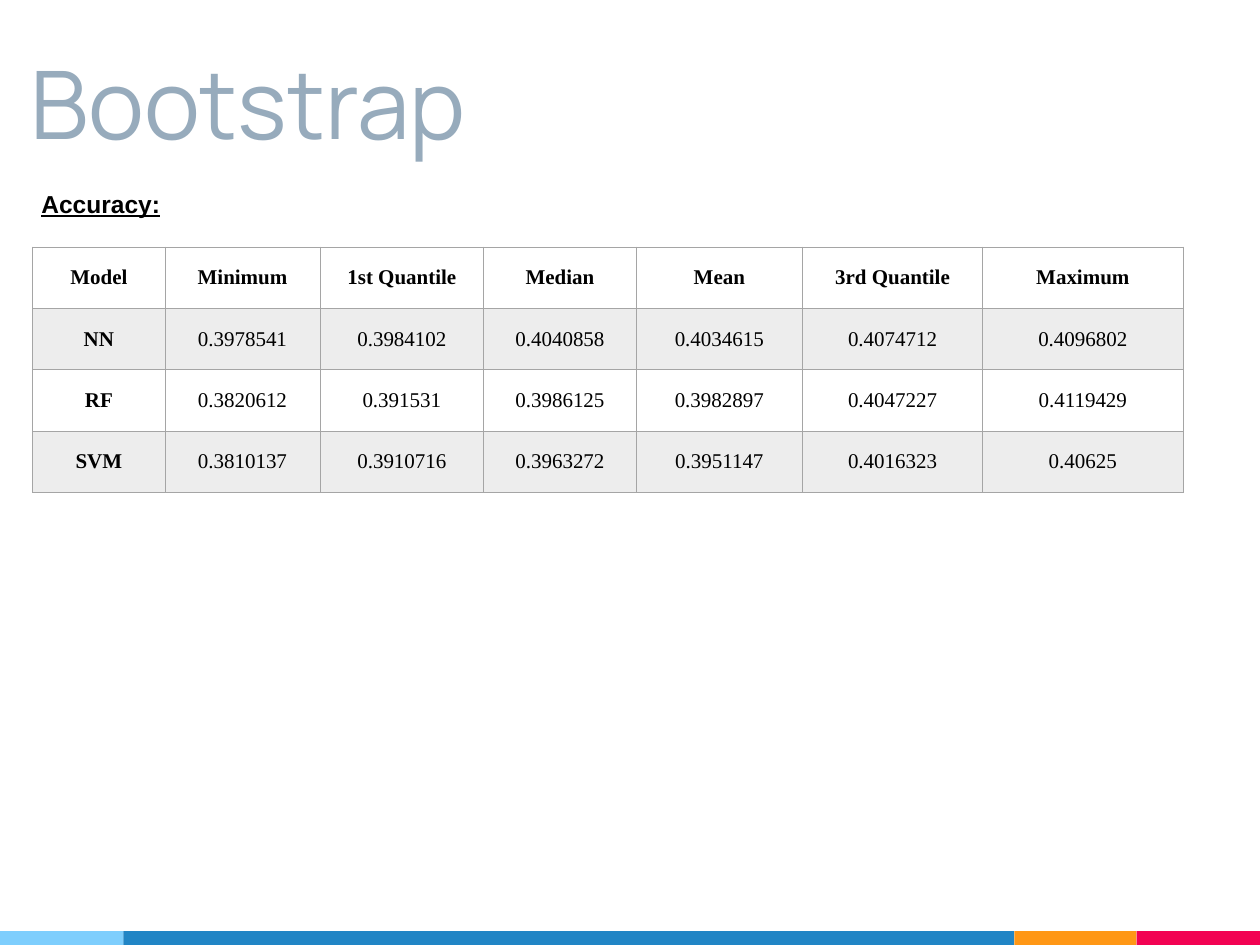
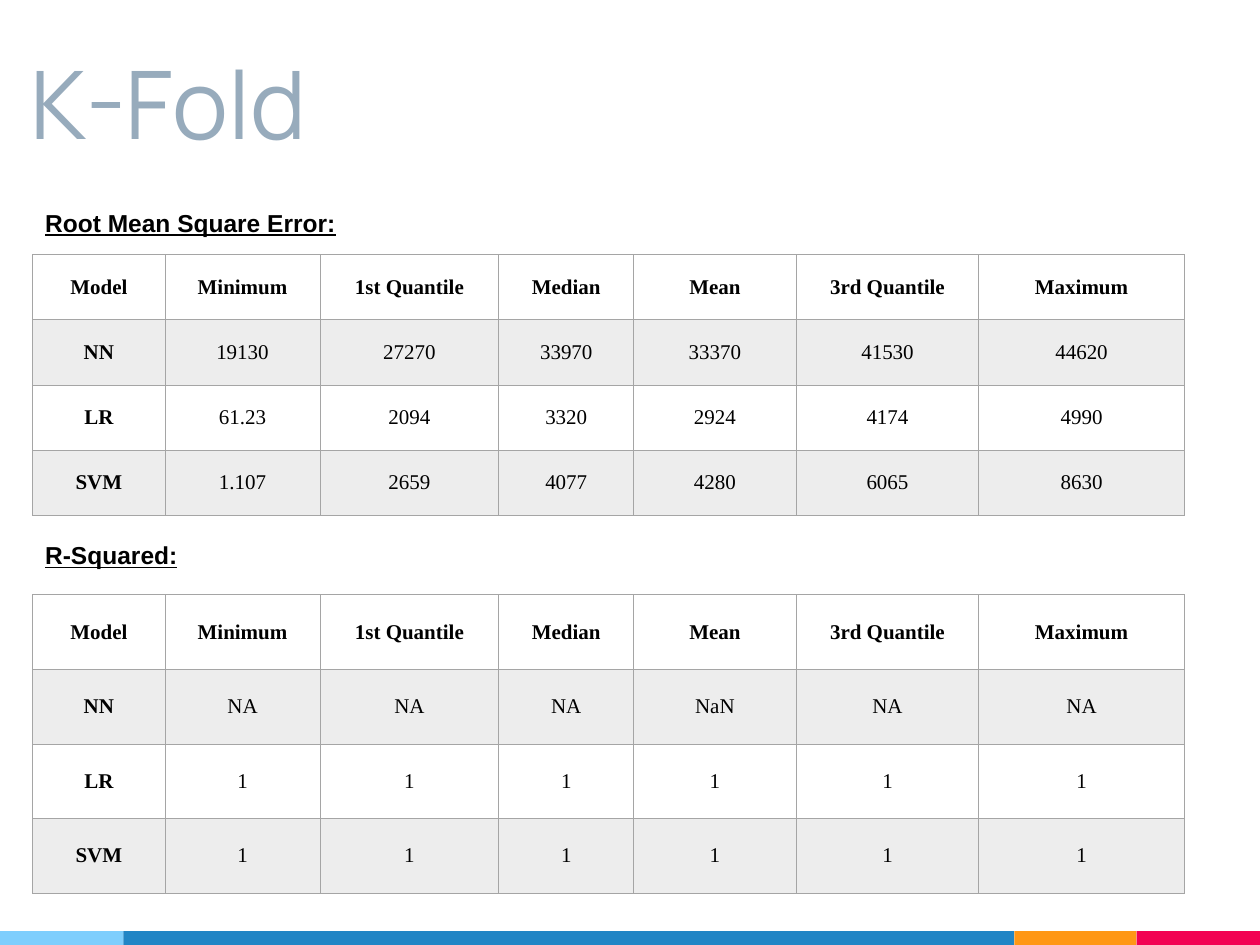
from dataclasses import dataclass
from itertools import product

from lxml.etree import SubElement
from pptx import Presentation
from pptx.dml.color import RGBColor
from pptx.enum.shapes import MSO_SHAPE as Shape
from pptx.enum.text import MSO_ANCHOR as Anchor, MSO_AUTO_SIZE as AutoSize, PP_ALIGN as Align
from pptx.oxml.ns import qn
from pptx.util import Inches, Pt

COLORS = {
    "title": "97ABBC",
    "text": "000000",
    "border": "A5A5A5",
    "stripe": "EDEDED",
    "sky": "7ECEFD",
    "blue": "2185C5",
    "orange": "FF9715",
    "red": "F20253",
}
HEADERS = ["Model", "Minimum", "1st Quantile", "Median", "Mean", "3rd Quantile", "Maximum"]
TABLE_LEFT = 0.26
BAND_TOP, BAND_HEIGHT = 7.39, 0.11


@dataclass
class Band:
    left: float
    right: float
    color: str


@dataclass
class Section:
    heading: str
    heading_left: float
    heading_top: float
    table_top: float
    table_height: float
    widths: list[float]
    rows: list[list[str]]


@dataclass
class Page:
    title: str
    sections: list[Section]


BANDS = [
    Band(0, 0.98, "sky"),
    Band(0.98, 8.05, "blue"),
    Band(8.05, 9.02, "orange"),
    Band(9.02, 10, "red"),
]
BOOTSTRAP_WIDTHS = [1.05, 1.23, 1.3, 1.21, 1.32, 1.43, 1.59]
KFOLD_WIDTHS = [1.05, 1.23, 1.42, 1.07, 1.29, 1.45, 1.63]
PAGES = [
    Page("Bootstrap", [
        Section("Accuracy:", 0.23, 1.45, 1.96, 1.95, BOOTSTRAP_WIDTHS, [
            ["NN", "0.3978541", "0.3984102", "0.4040858", "0.4034615", "0.4074712", "0.4096802"],
            ["RF", "0.3820612", "0.391531", "0.3986125", "0.3982897", "0.4047227", "0.4119429"],
            ["SVM", "0.3810137", "0.3910716", "0.3963272", "0.3951147", "0.4016323", "0.40625"],
        ]),
    ]),
    Page("K-Fold", [
        Section("Root Mean Square Error:", 0.26, 1.6, 2.02, 2.07, KFOLD_WIDTHS, [
            ["NN", "19130", "27270", "33970", "33370", "41530", "44620"],
            ["LR", "61.23", "2094", "3320", "2924", "4174", "4990"],
            ["SVM", "1.107", "2659", "4077", "4280", "6065", "8630"],
        ]),
        Section("R-Squared:", 0.26, 4.24, 4.72, 2.37, KFOLD_WIDTHS, [
            ["NN", "NA", "NA", "NA", "NaN", "NA", "NA"],
            ["LR"] + ["1"] * 6,
            ["SVM"] + ["1"] * 6,
        ]),
    ]),
]


def rgb(name: str) -> RGBColor:
    return RGBColor.from_string(COLORS[name])


def write(tf, text: str, *, size: float, font: str, color: str = "text", bold: bool = False,
          underline: bool = False, align=Align.LEFT) -> None:
    p = tf.paragraphs[0]
    p.alignment = align
    r = p.add_run()
    r.text = text
    r.font.size = Pt(size)
    r.font.name = font
    r.font.bold = bold
    r.font.underline = underline
    r.font.color.rgb = rgb(color)


def add_band(slide, band: Band) -> None:
    sp = slide.shapes.add_shape(Shape.RECTANGLE, Inches(band.left), Inches(BAND_TOP),
                                Inches(band.right - band.left), Inches(BAND_HEIGHT))
    sp.shadow.inherit = False
    sp.fill.solid()
    sp.fill.fore_color.rgb = rgb(band.color)
    sp.line.fill.background()


def set_title(slide, text: str) -> None:
    sp = slide.shapes.title
    sp.left, sp.top, sp.width, sp.height = Inches(0.14), Inches(0.11), Inches(8.34), Inches(1.25)
    tf = sp.text_frame
    tf.word_wrap = True
    tf.auto_size = AutoSize.NONE
    tf.vertical_anchor = Anchor.BOTTOM
    tf.margin_left = tf.margin_right = tf.margin_top = tf.margin_bottom = Inches(0.1)
    write(tf, text, size=54, font="Manrope", color="title")


def add_border(cell, side: str, width: float) -> None:
    ln = SubElement(cell._tc.get_or_add_tcPr(), qn(f"a:ln{side}"), w=str(Pt(width)))
    fill = SubElement(ln, qn("a:solidFill"))
    SubElement(fill, qn("a:srgbClr"), val=COLORS["border"])


def format_cell(cell, text: str, row: int, col: int) -> None:
    cell.vertical_anchor = Anchor.MIDDLE
    cell.margin_left = cell.margin_right = cell.margin_top = cell.margin_bottom = Inches(0.07)
    write(cell.text_frame, text, size=12, font="Times New Roman",
          bold=row == 0 or col == 0, align=Align.CENTER)
    for side in "LRTB":
        under_header = (row, side) in ((0, "B"), (1, "T"))
        add_border(cell, side, 1 if under_header else 0.5)
    if row % 2:
        cell.fill.solid()
        cell.fill.fore_color.rgb = rgb("stripe")
    else:
        cell.fill.background()


def add_section(slide, section: Section) -> None:
    tf = slide.shapes.add_textbox(Inches(section.heading_left), Inches(section.heading_top),
                                  Inches(7.11), Inches(0.34)).text_frame
    tf.word_wrap = True
    tf.auto_size = AutoSize.SHAPE_TO_FIT_TEXT
    write(tf, section.heading, size=14, font="Arial", bold=True, underline=True)

    rows = [HEADERS] + section.rows
    table = slide.shapes.add_table(len(rows), len(HEADERS), Inches(TABLE_LEFT),
                                   Inches(section.table_top), Inches(sum(section.widths)),
                                   Inches(section.table_height)).table
    table.first_row = table.horz_banding = False
    for column, width in zip(table.columns, section.widths):
        column.width = Inches(width)
    for row, col in product(range(len(rows)), range(len(HEADERS))):
        format_cell(table.cell(row, col), rows[row][col], row, col)


def main() -> None:
    prs = Presentation()
    prs.slide_width, prs.slide_height = Inches(10), Inches(7.5)
    for page in PAGES:
        slide = prs.slides.add_slide(prs.slide_layouts.get_by_name("Title Only"))
        for band in BANDS:
            add_band(slide, band)
        set_title(slide, page.title)
        for section in page.sections:
            add_section(slide, section)
    prs.save("out.pptx")


if __name__ == "__main__":
    main()
